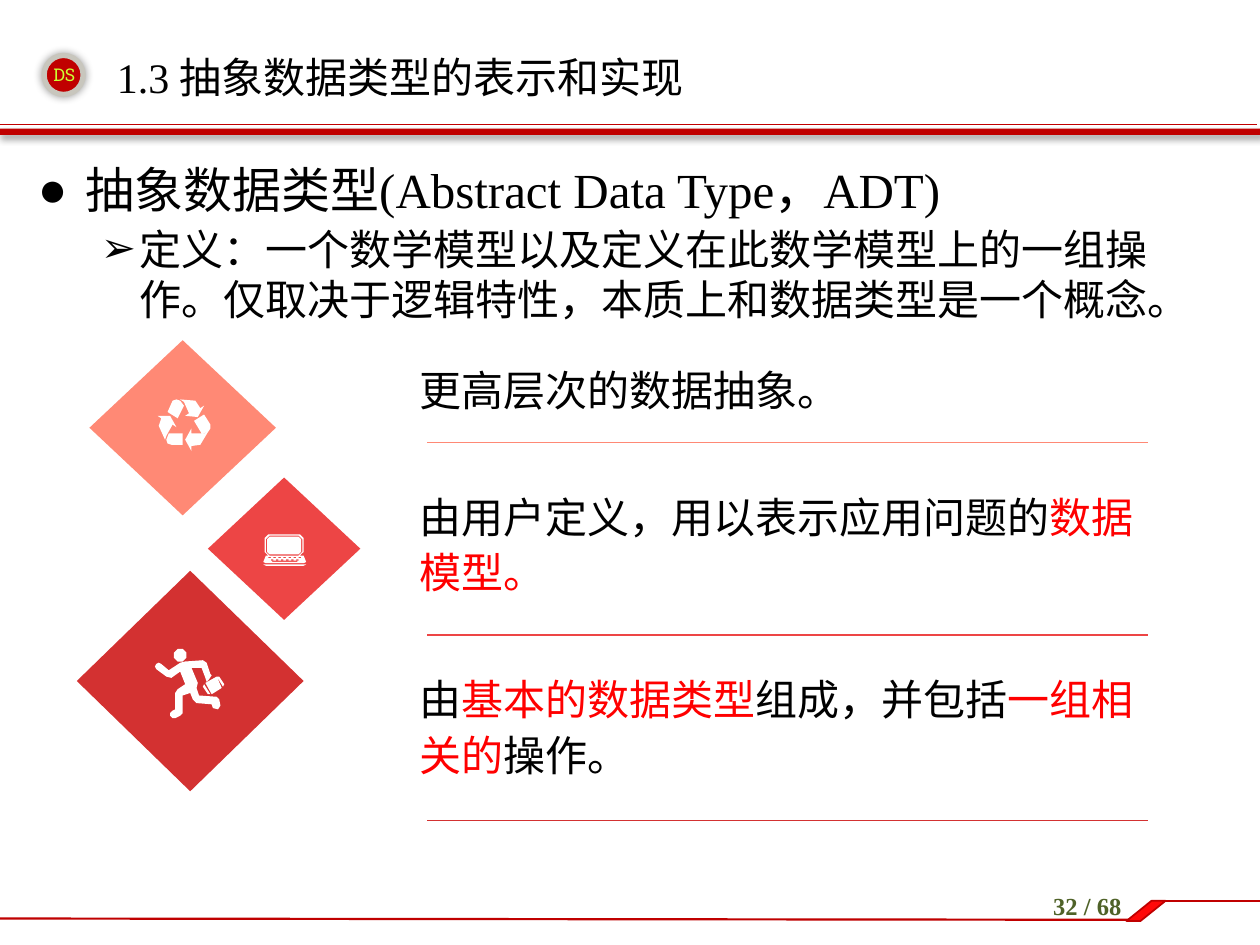
from typing import NamedTuple

from lxml import etree
from pptx import Presentation
from pptx.dml.color import RGBColor
from pptx.enum import shapes, text
from pptx.oxml import ns
from pptx.util import Emu, Pt

PX = 9144  # 100 px to the inch
BLACK = RGBColor(0, 0, 0)
WHITE = RGBColor(255, 255, 255)
RED = RGBColor(255, 0, 0)
CRIMSON = RGBColor(0xC0, 0, 0)
BRIGHT = RGBColor(0xFF, 0x09, 0x09)
GREY = RGBColor(0xC8, 0xC6, 0xBD)
LIME = RGBColor(0xCC, 0xFF, 0x33)
OLIVE = RGBColor(0x4F, 0x62, 0x28)
CORAL = RGBColor(0xFF, 0x89, 0x75)
ROSE = RGBColor(0xED, 0x45, 0x45)
BRICK = RGBColor(0xD3, 0x31, 0x31)
SERIF = "Times New Roman"
Kind = shapes.MSO_SHAPE
Align = text.PP_ALIGN


class Box(NamedTuple):
    x: int
    y: int
    w: int
    h: int


class Rule(NamedTuple):
    x1: int
    y1: int
    x2: int
    y2: int
    color: RGBColor
    width: float


class Gem(NamedTuple):
    box: Box
    color: RGBColor
    icon: list


class Part(NamedTuple):
    words: str
    color: RGBColor = BLACK


def px(n: int) -> Emu:
    return Emu(n * PX)


def add_line(tree, rule: Rule) -> None:
    line = tree.add_connector(shapes.MSO_CONNECTOR.STRAIGHT, *map(px, rule[:4]))
    line.line.color.rgb = rule.color
    line.line.width = Pt(rule.width)
    etree.SubElement(line._element.spPr, ns.qn("a:effectLst"))


def paint(shape, fill: RGBColor, edge: RGBColor = None, width: float = 0) -> None:
    shape.shadow.inherit = False
    shape.fill.solid()
    shape.fill.fore_color.rgb = fill
    if edge is None:
        shape.line.fill.background()
    else:
        shape.line.color.rgb = edge
        shape.line.width = Pt(width)


def add_form(tree, kind, box: Box, fill, edge=None, width=0):
    shape = tree.add_shape(kind, *map(px, box))
    paint(shape, fill, edge, width)
    return shape


def add_shade(shape, blur: int, dist: int, angle: int) -> None:
    effects = shape._element.spPr.find(ns.qn("a:effectLst"))
    shade = etree.SubElement(effects, ns.qn("a:outerShdw"), blurRad=str(Pt(blur)),
                             dist=str(Pt(dist)), dir=str(angle * 60000), rotWithShape="0")
    color = etree.SubElement(shade, ns.qn("a:srgbClr"), val="000000")
    etree.SubElement(color, ns.qn("a:alpha"), val="40000")


def add_icon(tree, loops: list) -> None:
    pen = tree.build_freeform(*map(px, loops[0][0]), scale=1.0)
    for i, loop in enumerate(loops):
        if i:
            pen.move_to(*map(px, loop[0]))
        pen.add_line_segments([(px(x), px(y)) for x, y in loop[1:]], close=True)
    paint(pen.convert_to_shape(), WHITE)


def add_frame(tree, box: Box):
    frame = tree.add_textbox(*map(px, box)).text_frame
    frame.word_wrap = True
    return frame


def style(font, size: int, color: RGBColor, name: str = SERIF, bold: bool = False) -> None:
    font.size, font.name, font.bold = Pt(size), name, bold
    font.color.rgb = color


def add_label(tree, box: Box, words: str, size: int, color, name=SERIF, bold=False, align=Align.CENTER):
    frame = add_frame(tree, box)
    frame.text = words
    para = frame.paragraphs[0]
    para.alignment = align
    style(para.runs[0].font, size, color, name, bold)
    return frame


def indent(para, left: int, hang: int = 0, mark: str = "") -> None:
    props = para._p.get_or_add_pPr()
    props.set("marL", str(px(left)))
    props.set("indent", str(px(-hang)))
    if mark:
        etree.SubElement(props, ns.qn("a:buFont"), typeface="Arial")
        etree.SubElement(props, ns.qn("a:buChar"), char=mark)


def chip(x1: int, y1: int, x2: int, y2: int, cut: int = 0) -> list:
    if not cut:
        return [(x1, y1), (x2, y1), (x2, y2), (x1, y2)]
    return [(x1 + cut, y1), (x2 - cut, y1), (x2, y1 + cut), (x2, y2 - cut),
            (x2 - cut, y2), (x1 + cut, y2), (x1, y2 - cut), (x1, y1 + cut)]


CYCLE = [
    [(140, 317), (137, 318), (133, 327), (141, 332), (146, 322), (143, 318)],
    [(159, 324), (155, 318), (143, 317), (146, 319), (150, 328), (147, 330), (157, 331), (162, 322)],
    [(133, 352), (136, 353), (145, 353), (145, 344), (134, 344), (132, 349)],
    [(128, 332), (126, 338), (131, 349), (132, 346), (137, 337), (140, 339), (135, 330), (125, 330)],
    [(167, 340), (167, 337), (162, 329), (154, 334), (160, 344), (165, 343)],
    [(152, 354), (159, 353), (165, 343), (162, 344), (152, 344), (152, 340), (147, 349), (152, 358)],
]
RUNNER = [
    chip(138, 515, 148, 525, 3),
    [(174, 555), (172, 553), (158, 552), (156, 546), (157, 542), (152, 530), (160, 530), (163, 538),
     (164, 541), (166, 539), (168, 536), (167, 535), (164, 526), (161, 524), (147, 525), (143, 526),
     (134, 532), (128, 527), (126, 526), (124, 527), (123, 529), (124, 531), (132, 537), (136, 538),
     (143, 533), (147, 543), (141, 547), (139, 550), (139, 563), (137, 564), (135, 566), (135, 568),
     (137, 570), (139, 570), (143, 568), (145, 566), (145, 552), (151, 550), (153, 555), (156, 558),
     (168, 559), (169, 562), (173, 563), (175, 560)],
    [(163, 542), (168, 551), (176, 546), (172, 537)],
    [(161, 545), (165, 551), (167, 551), (162, 543)],
    [(178, 543), (174, 537), (172, 537), (177, 545)],
]
KEYS = [chip(x - 1, y, x + 1, y + 1)
        for y, start, stop in ((442, 214, 239), (444, 216, 237)) for x in range(start, stop, 4)]
LAPTOP = [
    chip(210, 424, 241, 441, 3), chip(211, 425, 240, 441, 3), chip(212, 426, 239, 440, 2),
    [(211, 441), (241, 441), (243, 446), (241, 447), (211, 447), (209, 446)],
    chip(216, 445, 236, 446), [(209, 448), (243, 448), (241, 449), (211, 449)],
] + KEYS

GEMS = [
    Gem(Box(71, 270, 148, 139), CORAL, CYCLE),
    Gem(Box(61, 453, 180, 175), BRICK, RUNNER),
    Gem(Box(165, 379, 121, 113), ROSE, LAPTOP),
]
POINTS = [
    [Part("更高层次的数据抽象。")],
    [Part("由用户定义，用以表示应用问题的"), Part("数据模型。", RED)],
    [Part("由"), Part("基本的数据类型", RED), Part("组成，并包括"),
     Part("一组相关的", RED), Part("操作。")],
]

deck = Presentation()
deck.slide_width, deck.slide_height = px(1000), px(750)
tree = deck.slides.add_slide(deck.slide_layouts[6]).shapes

# Header and footer bands
badge = add_form(tree, Kind.OVAL, Box(35, 44, 31, 31), CRIMSON, GREY, 3)
add_shade(badge, 5, 0, 0)
add_line(tree, Rule(-2, 99, 998, 99, CRIMSON, 0.25))
add_shade(add_form(tree, Kind.RECTANGLE, Box(-3, 102, 1003, 5), CRIMSON), 4, 3, 45)
add_line(tree, Rule(0, 729, 896, 730, CRIMSON, 1.25))
add_line(tree, Rule(917, 715, 1000, 715, CRIMSON, 1.5))
flag = add_form(tree, Kind.PARALLELOGRAM, Box(894, 715, 31, 16), BRIGHT, CRIMSON, 1)
flag.adjustments[0] = 1.24
add_label(tree, Box(24, 46, 54, 27), "DS", 10, LIME, "Roboto Slab")
add_label(tree, Box(800, 702, 126, 40), "32 / 68", 14, OLIVE, bold=True)

# Title
title = add_label(tree, Box(83, 30, 795, 61), "1.3 抽象数据类型的表示和实现", 24, BLACK, align=Align.LEFT)
title.vertical_anchor = text.MSO_ANCHOR.MIDDLE

# Definition
body = add_frame(tree, Box(12, 115, 969, 614))
body.margin_left, body.margin_top, body.margin_right = px(18), px(12), px(45)
body.text = ("抽象数据类型(Abstract Data Type，ADT)\n"
             "定义：一个数学模型以及定义在此数学模型上的一组操作。仅取决于逻辑特性，本质上和数据类型是一个概念。")
head, note = body.paragraphs
note.level = 1
note.space_before = Pt(2.4)
indent(head, 38, 38, "●")
indent(note, 81, 31, "➢")
style(head.runs[0].font, 28, BLACK)
style(note.runs[0].font, 24, BLACK)

# Three features
frame = add_frame(tree, Box(273, 280, 666, 369))
for i, parts in enumerate(POINTS):
    para = frame.add_paragraph() if i else frame.paragraphs[0]
    para.level = 1
    para.line_spacing = 1.1
    if i:
        para.space_before = Pt(41)
    indent(para, 50)
    for part in parts:
        run = para.add_run()
        run.text = part.words
        style(run.font, 24, part.color, "Arial")

# Diamonds, their icons and the dividers
for gem in GEMS:
    add_form(tree, Kind.FLOWCHART_DECISION, gem.box, gem.color)
for gem in GEMS:
    add_icon(tree, gem.icon)
for y, color in ((351, CORAL), (504, ROSE), (651, BRICK)):
    add_line(tree, Rule(339, y, 911, y, color, 0.75))

deck.save("out.pptx")
